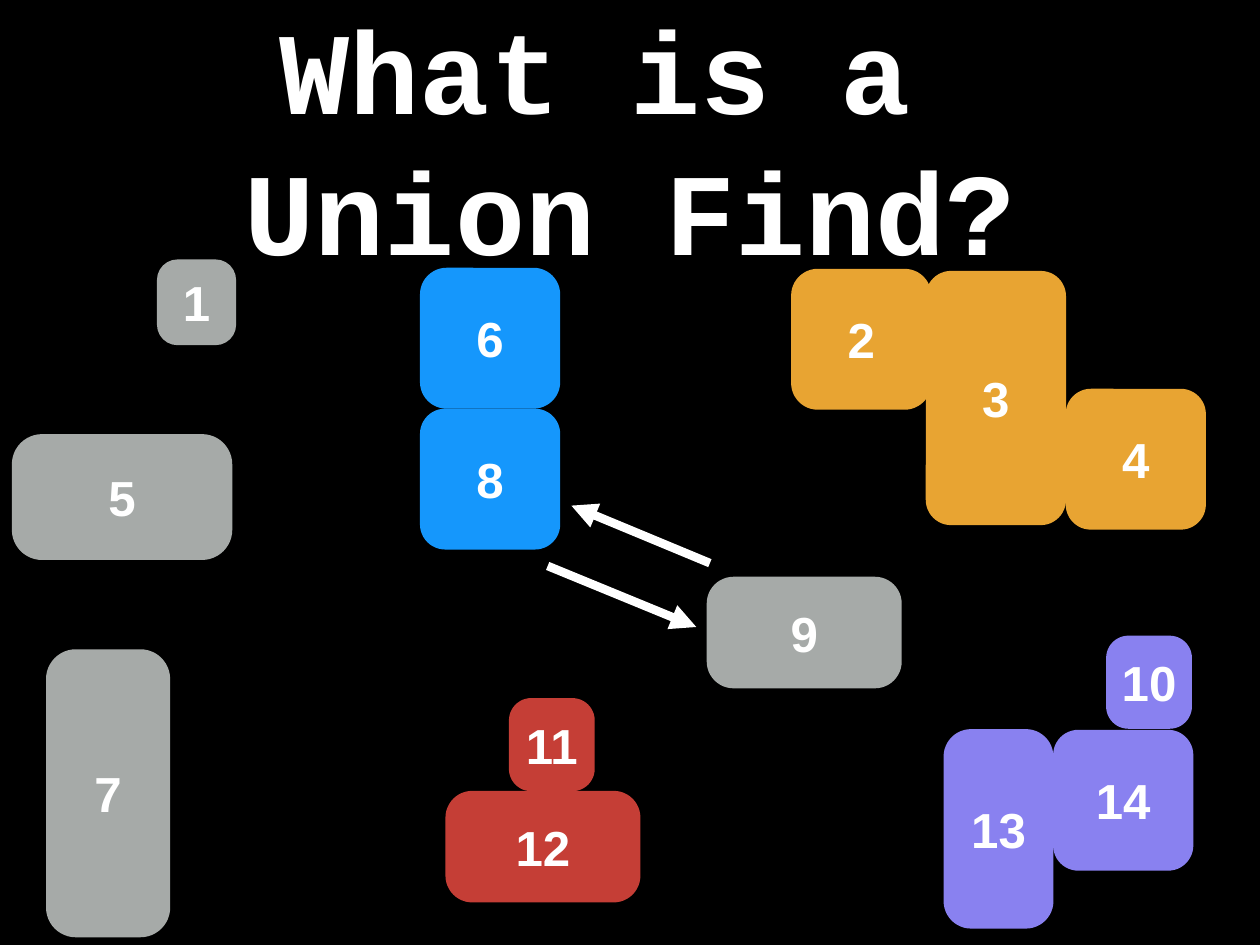
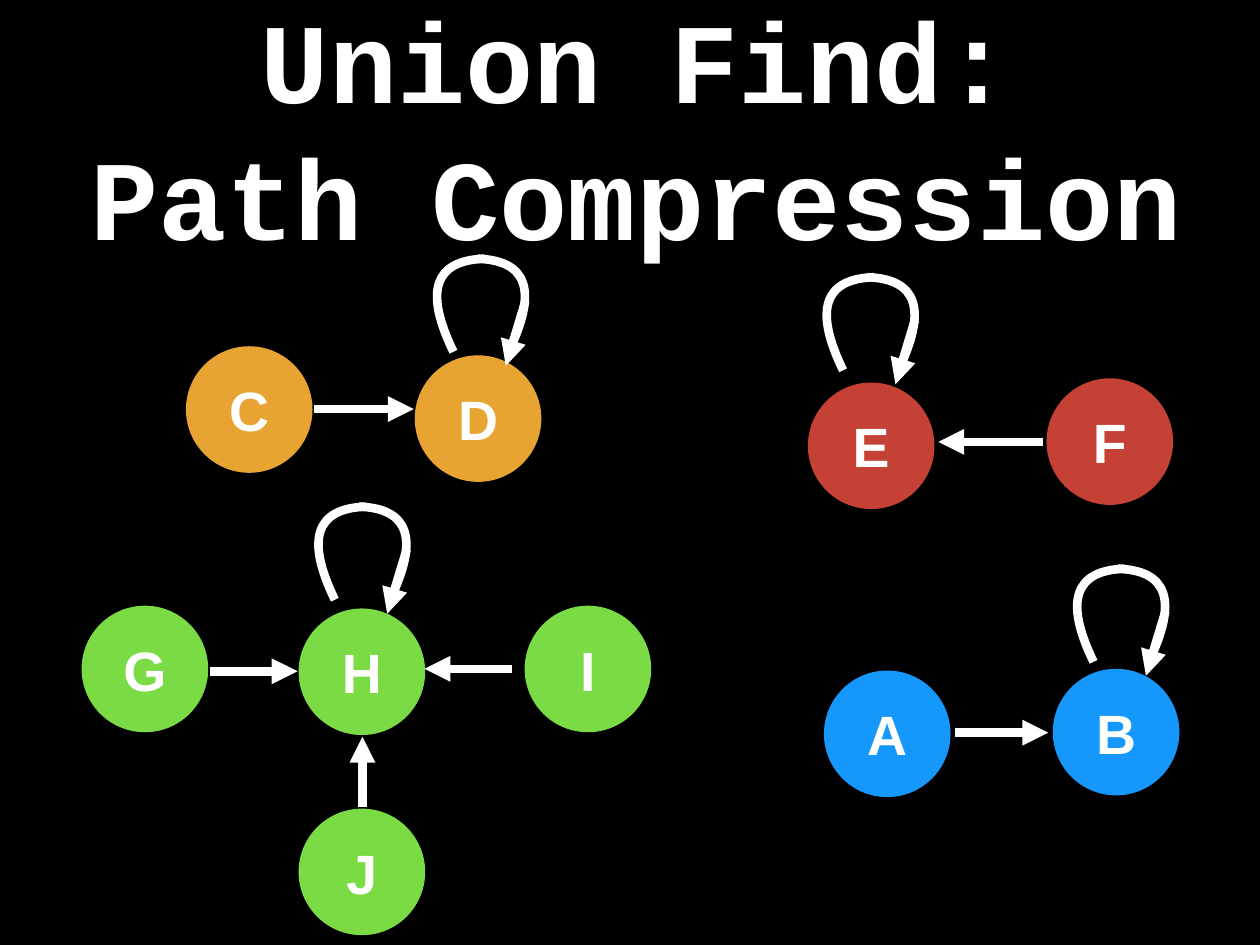
from lxml import etree
from pptx import Presentation
from pptx.dml.color import RGBColor
from pptx.enum.shapes import MSO_CONNECTOR as Link, MSO_SHAPE as Kind
from pptx.enum.text import MSO_ANCHOR as Anchor, PP_ALIGN as Align
from pptx.oxml.ns import qn
from pptx.util import Cm, Pt

BLACK = RGBColor(0x00, 0x00, 0x00)
WHITE = RGBColor(0xFF, 0xFF, 0xFF)
GREY = RGBColor(0xA6, 0xAA, 0xA8)
RED = RGBColor(0xC5, 0x3E, 0x36)
BRICK = RGBColor(0xC5, 0x40, 0x35)
LILAC = RGBColor(0x89, 0x81, 0xF0)
AMBER = RGBColor(0xE8, 0xA4, 0x32)
BLUE = RGBColor(0x15, 0x97, 0xFC)
GREEN = RGBColor(0x7B, 0xDB, 0x45)

STROKE = Pt(7)
INSET = Cm(0.15)

# Titles: lines, size, box
UNION = (["What is a ", "Union Find?"], 94.9, (-0.84, -0.1, 37.82, 8.13))
PATHS = (["Union Find:", "Path Compression"], 92.4,
         (-0.13, -0.33, 36.73, 7.92))

# Blocks: label, colour, box, corner
BLOCKS = [
    ("7", GREY, (1.32, 18.62, 3.56, 8.26), 0.24),
    ("5", GREY, (0.34, 12.45, 6.32, 3.61), 0.24),
    ("1", GREY, (4.5, 7.44, 2.27, 2.46), 0.26),
    ("12", RED, (12.77, 22.68, 5.59, 3.2), 0.24),
    ("13", LILAC, (27.05, 20.91, 3.15, 5.72), 0.25),
    ("14", LILAC, (30.19, 20.93, 4.02, 4.04), 0.18),
    ("10", LILAC, (31.71, 18.23, 2.46, 2.67), 0.26),
    ("11", RED, (14.59, 20.02, 2.46, 2.67), 0.26),
    ("9", GREY, (20.26, 16.54, 5.59, 3.2), 0.24),
    ("3", AMBER, (26.54, 7.77, 4.02, 7.29), 0.18),
    ("4", AMBER, (30.55, 11.15, 4.02, 4.04), 0.18),
    ("2", AMBER, (22.68, 7.71, 4.02, 4.04), 0.19),
    ("8", BLUE, (12.04, 11.72, 4.02, 4.04), 0.18),
    ("6", BLUE, (12.04, 7.68, 4.02, 4.04), 0.19),
]
MERGES = [(20.35, 16.15, 16.38, 14.5), (15.7, 16.23, 19.96, 17.98)]

# Nodes: label, colour, left, top
NODES = [
    ("G", GREEN, 2.34, 17.37), ("D", AMBER, 11.89, 10.19),
    ("C", AMBER, 5.33, 9.93), ("E", BRICK, 23.16, 10.97),
    ("B", BLUE, 30.18, 19.18), ("H", GREEN, 8.56, 17.45),
    ("F", BRICK, 30, 10.85), ("A", BLUE, 23.62, 19.23),
    ("I", GREEN, 15.04, 17.37), ("J", GREEN, 8.56, 23.19),
]
SIZE = 3.63
EDGES = [
    (27.38, 21.01, 30.05, 21.01), (8.99, 11.73, 11.86, 11.73),
    (29.9, 12.67, 26.9, 12.67), (6.02, 19.25, 8.53, 19.25),
    (10.39, 23.14, 10.39, 21.13), (14.68, 19.18, 12.17, 19.18),
]

# Self loops: middle and top; the left half as cubic points from there
LOOPS = [(13.79, 7.42), (32.14, 16.31), (10.39, 14.53), (24.96, 7.95)]
HALF = [(0.1, 0), (-1.35, 0.05), (-1.63, 0.94), (-0.79, 2.67)]
BULGE = (-1.26, 1.2)
TIP = (1.27, 1.22, 0.71, 3.07)


def style(para, font, size):
    para.alignment = Align.CENTER
    for run in para.runs:
        run.font.name = font
        run.font.size = Pt(size)
        run.font.bold = True
        run.font.color.rgb = WHITE


def pad(frame):
    frame.margin_left = frame.margin_right = INSET
    frame.margin_top = frame.margin_bottom = INSET


def add_slide(deck):
    slide = deck.slides.add_slide(deck.slide_layouts[6])
    slide.background.fill.solid()
    slide.background.fill.fore_color.rgb = BLACK
    return slide


def add_title(slide, lines, size, box):
    frame = slide.shapes.add_textbox(*map(Cm, box)).text_frame
    frame.word_wrap = True
    pad(frame)
    frame.margin_top = Cm(0.05)
    frame.vertical_anchor = Anchor.TOP
    frame.text = "\n".join(lines)
    for para in frame.paragraphs:
        para.line_spacing = Pt(round(1.2 * size, 1))
        style(para, "Courier New", size)


def add_label(slide, kind, text, color, box, size):
    shape = slide.shapes.add_shape(kind, *map(Cm, box))
    shape.shadow.inherit = False
    shape.fill.solid()
    shape.fill.fore_color.rgb = color
    shape.line.fill.background()
    frame = shape.text_frame
    pad(frame)
    frame.vertical_anchor = Anchor.MIDDLE
    frame.text = text
    style(frame.paragraphs[0], "Arial", size)
    return shape


def add_arrow(slide, ends):
    arrow = slide.shapes.add_connector(Link.STRAIGHT, *map(Cm, ends))
    arrow.line.color.rgb = WHITE
    arrow.line.width = STROKE
    props = arrow.line._get_or_add_ln()
    etree.SubElement(props, qn("a:tailEnd"), type="triangle")
    etree.SubElement(arrow._element.spPr, qn("a:effectLst"))


def add_arc(slide, mid, top, side):
    start, *curve, bulge = [(Cm(mid + side * x), Cm(top + y))
                            for x, y in HALF + [BULGE]]
    pen = slide.shapes.build_freeform(*start)
    pen.add_line_segments([bulge, curve[-1]], close=False)
    arc = pen.convert_to_shape()
    arc.shadow.inherit = False
    arc.fill.background()
    arc.line.color.rgb = WHITE
    arc.line.width = STROKE
    # One cubic takes the place of the straight segments
    lines = list(arc._element.iter(qn("a:lnTo")))
    trace = lines[0].getparent()
    for line in lines:
        trace.remove(line)
    cubic = etree.SubElement(trace, qn("a:cubicBezTo"))
    for x, y in curve:
        etree.SubElement(cubic, qn("a:pt"),
                         x=str(x - arc.left), y=str(y - arc.top))


def add_loop(slide, mid, top):
    for side in (1, -1):
        add_arc(slide, mid, top, side)
    x1, y1, x2, y2 = TIP
    add_arrow(slide, (mid + x1, top + y1, mid + x2, top + y2))


def main():
    deck = Presentation()
    deck.slide_width, deck.slide_height = Cm(36.12), Cm(27.1)

    # Sets of blocks
    slide = add_slide(deck)
    for text, color, box, corner in BLOCKS:
        block = add_label(slide, Kind.ROUNDED_RECTANGLE, text, color, box, 40)
        block.adjustments[0] = corner
    for ends in MERGES:
        add_arrow(slide, ends)
    add_title(slide, *UNION)

    # Trees of nodes
    slide = add_slide(deck)
    for text, color, left, top in NODES:
        add_label(slide, Kind.OVAL, text, color, (left, top, SIZE, SIZE), 45)
    for mid, top in LOOPS:
        add_loop(slide, mid, top)
    for ends in EDGES:
        add_arrow(slide, ends)
    add_title(slide, *PATHS)

    deck.save("out.pptx")


if __name__ == "__main__":
    main()
